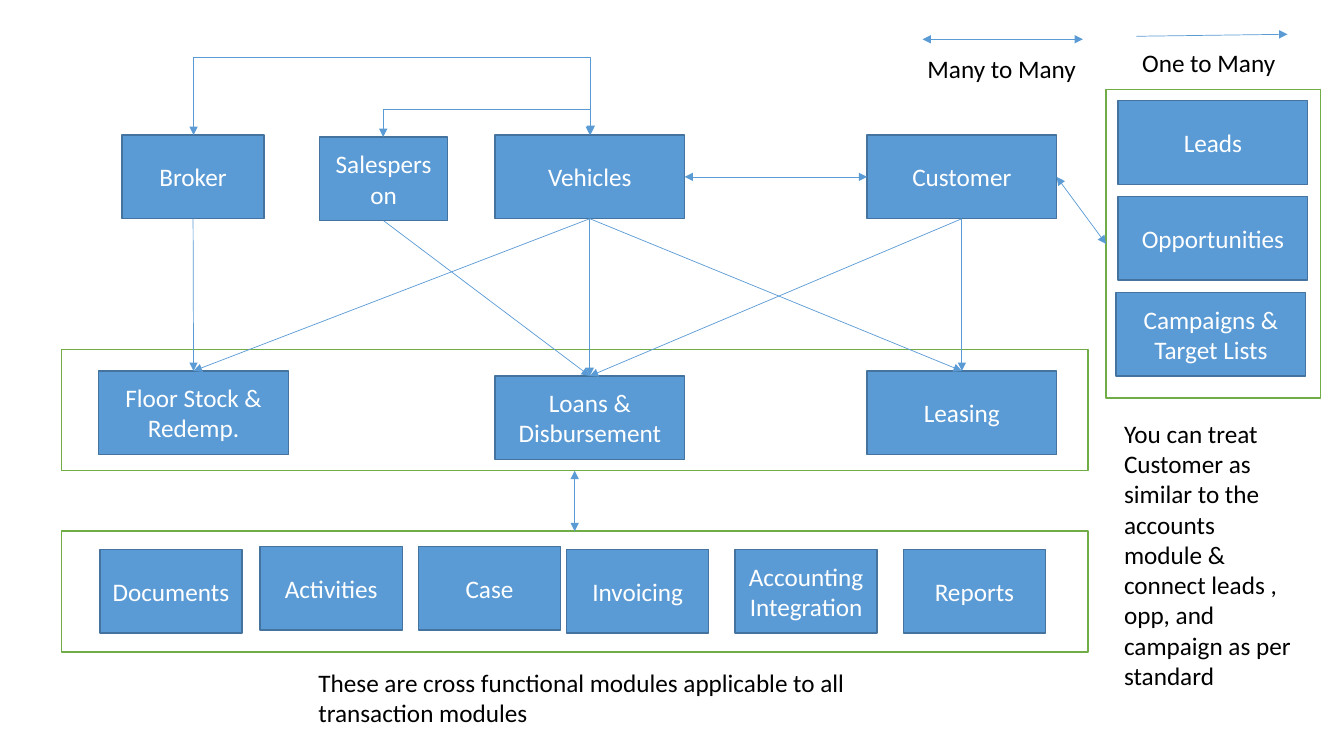
from lxml import etree
from pptx import Presentation
from pptx import util as u
from pptx.dml.color import RGBColor
from pptx.enum import shapes, text
from pptx.oxml.ns import qn

BLUE, BLUE_EDGE, GREEN = "5B9BD5", "43739E", "70AD47"
WHITE, BLACK = "FFFFFF", "000000"
TOP, LEFT, BOTTOM, RIGHT = range(4)
BOX_HEIGHT, WIDE, NARROW = 0.83, 1.88, 1.41

# Each module: left, top, width
MODULES = {
    "Broker": (1.21, 1.34, NARROW),
    "Salesperson": (3.17, 1.36, 1.27),
    "Vehicles": (4.91, 1.34, WIDE),
    "Customer": (8.6, 1.34, WIDE),
    "Floor Stock & Redemp.": (0.98, 3.68, WIDE),
    "Loans & Disbursement": (4.91, 3.73, WIDE),
    "Leasing": (8.6, 3.68, WIDE),
    "Documents": (0.99, 5.45, NARROW),
    "Activities": (2.58, 5.42, NARROW),
    "Case": (4.15, 5.42, NARROW),
    "Invoicing": (5.62, 5.45, NARROW),
    "Accounting Integration": (7.29, 5.45, NARROW),
    "Reports": (8.96, 5.45, NARROW),
    "Leads": (11.09, 1, WIDE),
    "Opportunities": (11.09, 1.95, WIDE),
    "Campaigns & Target Lists": (11.07, 2.9, WIDE),
}

ONE_TO_MANY = [
    ("Broker", "Floor Stock & Redemp."),
    ("Vehicles", "Floor Stock & Redemp."),
    ("Vehicles", "Loans & Disbursement"),
    ("Vehicles", "Leasing"),
    ("Customer", "Loans & Disbursement"),
    ("Customer", "Leasing"),
    ("Salesperson", "Loans & Disbursement"),
]


def rgb(color):
    return RGBColor.from_string(color)


def inches(*lengths):
    return [u.Inches(length) for length in lengths]


def add_words(frame, words, color):
    run = frame.paragraphs[0].add_run()
    run.text = words
    run.font.size = u.Pt(18)
    run.font.name = "Calibri"
    run.font.color.rgb = rgb(color)


def add_rectangle(slide, bounds, edge):
    rectangle = slide.shapes.add_shape(shapes.MSO_SHAPE.RECTANGLE, *inches(*bounds))
    rectangle.shadow.inherit = False
    rectangle.line.color.rgb = rgb(edge)
    rectangle.line.width = u.Pt(1)
    return rectangle


def add_module(slide, name, left, top, width):
    module = add_rectangle(slide, (left, top, width, BOX_HEIGHT), BLUE_EDGE)
    module.fill.solid()
    module.fill.fore_color.rgb = rgb(BLUE)
    frame = module.text_frame
    frame.word_wrap = True
    frame.vertical_anchor = text.MSO_ANCHOR.MIDDLE
    frame.paragraphs[0].alignment = text.PP_ALIGN.CENTER
    add_words(frame, name, WHITE)
    return module


def add_group_frame(slide, *bounds):
    group_frame = add_rectangle(slide, bounds, GREEN)
    group_frame.fill.background()
    return group_frame


def add_note(slide, words, bounds, wrap=True):
    note = slide.shapes.add_textbox(*inches(*bounds))
    note.text_frame.word_wrap = wrap
    note.text_frame.auto_size = text.MSO_AUTO_SIZE.SHAPE_TO_FIT_TEXT
    add_words(note.text_frame, words, BLACK)


def add_arrow(slide, start, end, both=True, kind=shapes.MSO_CONNECTOR.STRAIGHT):
    arrow = slide.shapes.add_connector(kind, *inches(*start, *end))
    arrow.line.color.rgb = rgb(BLUE)
    arrow.line.width = u.Pt(0.5)
    outline = arrow.line._get_or_add_ln()
    for tip in ("a:headEnd", "a:tailEnd") if both else ("a:tailEnd",):
        etree.SubElement(outline, qn(tip), type="triangle")
    etree.SubElement(arrow.element.spPr, qn("a:effectLst"))
    return arrow


def join(slide, source, source_side, target, target_side, both=True):
    arrow = add_arrow(slide, (0, 0), (1, 1), both)
    arrow.begin_connect(source, source_side)
    arrow.end_connect(target, target_side)


def add_bridge(slide, start, end, peak):
    """Draw an elbow arrow up from start, across at height peak, down to end.

    The elbow is turned a quarter, so its box has width and height swapped.
    """
    (x1, y1), (x2, y2) = start, end
    rise, span = y1 - y2, x2 - x1
    bridge = add_arrow(slide, start, end, kind=shapes.MSO_CONNECTOR.ELBOW)
    bridge.left, bridge.top, bridge.width, bridge.height = inches(
        (x1 + x2 - rise) / 2, (y1 + y2 - span) / 2, rise, span)
    transform = bridge.element.spPr.find(qn("a:xfrm"))
    for key, value in (("rot", "5400000"), ("flipH", "1"), ("flipV", "1")):
        transform.set(key, value)
    bend = bridge.element.spPr.find(qn("a:prstGeom")).get_or_add_avLst()
    share = round((y1 - peak) / rise * 100000)
    etree.SubElement(bend, qn("a:gd"), name="adj1", fmla=f"val {share}")


def main():
    deck = Presentation()
    deck.slide_width, deck.slide_height = inches(13.33, 7.5)
    slide = deck.slides.add_slide(deck.slide_layouts[6])

    modules = {name: add_module(slide, name, *place)
               for name, place in MODULES.items()}
    transactions = add_group_frame(slide, 0.61, 3.47, 10.18, 1.2)
    cross_functional = add_group_frame(slide, 0.61, 5.27, 10.18, 1.2)
    prospects = add_group_frame(slide, 10.97, 0.89, 2.13, 3.06)

    for source, target in ONE_TO_MANY:
        join(slide, modules[source], BOTTOM, modules[target], TOP, both=False)
    join(slide, modules["Vehicles"], RIGHT, modules["Customer"], LEFT)
    join(slide, modules["Customer"], RIGHT, prospects, LEFT)
    join(slide, transactions, BOTTOM, cross_functional, TOP)
    add_bridge(slide, (1.92, 1.34), (5.86, 1.33), peak=0.56)
    add_bridge(slide, (3.8, 1.36), (5.85, 1.34), peak=1.09)

    add_arrow(slide, (9.15, 0.39), (10.74, 0.39))
    add_note(slide, "Many to Many", (9.1, 0.48, 1.69, 0.4), wrap=False)
    add_arrow(slide, (11.27, 0.36), (12.77, 0.34), both=False)
    add_note(slide, "One to Many", (11.23, 0.42, 1.54, 0.4), wrap=False)
    add_note(slide, "You can treat Customer as similar to the accounts module & "
             "connect leads , opp, and campaign as per standard",
             (11.05, 4.1, 1.9, 2.83))
    add_note(slide, "These are cross functional modules applicable to all "
             "transaction modules", (3.06, 6.57, 6.54, 0.71))
    deck.save("out.pptx")


if __name__ == "__main__":
    main()
